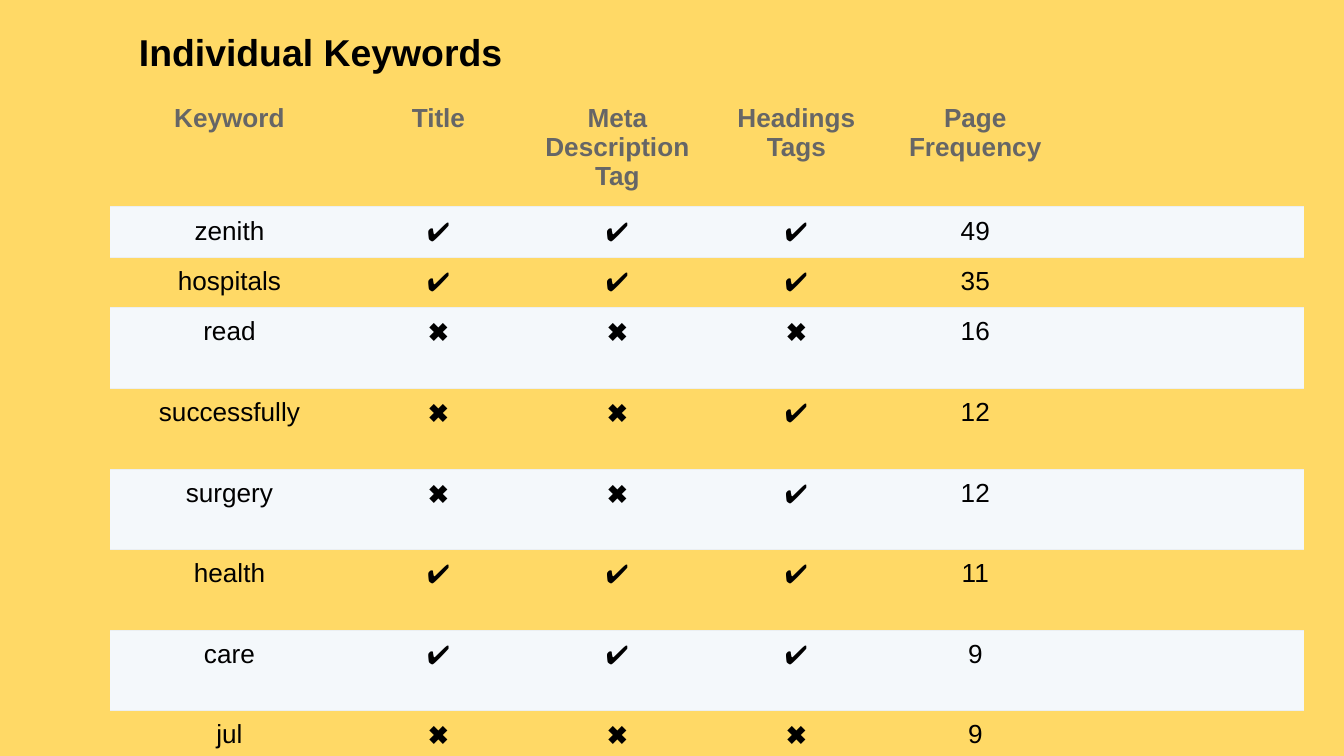
from dataclasses import dataclass

import lxml.etree
import pptx
import pptx.dml.color
import pptx.enum.text
import pptx.oxml.ns
import pptx.table
import pptx.text.text
import pptx.util

EMU_PER_PX = 9144000 / 1344
RGB = pptx.dml.color.RGBColor
YELLOW = RGB(0xFF, 0xD9, 0x66)
PALE = RGB(0xF4, 0xF8, 0xFB)
RULE = RGB(0xEB, 0xEF, 0xF2)
GREY = RGB(0x66, 0x66, 0x66)
BLACK = RGB(0x00, 0x00, 0x00)
NO_STYLE = "{2D5ABB26-0587-4C30-8999-92F81FD0307C}"

TITLE = {"name": "Arial", "size": pptx.util.Pt(20), "bold": True}
HEADER = {"name": "Arial", "size": pptx.util.Pt(14), "bold": True}
BODY = {"name": "Arial", "size": pptx.util.Pt(14), "bold": False}
MARK = {"name": "Calibri", "size": pptx.util.Pt(14), "bold": True}

COL_WIDTHS = [239, 179, 179, 179, 179, 239]
HEADER_HEIGHT = 111
HEADINGS = ["Keyword", "Title", "Meta Description Tag", "Headings Tags", "Page Frequency"]


@dataclass
class Keyword:
    word: str
    marks: str
    frequency: int
    height: int


KEYWORDS = [
    Keyword("zenith", "✔✔✔", 49, 49),
    Keyword("hospitals", "✔✔✔", 35, 49),
    Keyword("read", "✖✖✖", 16, 81),
    Keyword("successfully", "✖✖✔", 12, 81),
    Keyword("surgery", "✖✖✔", 12, 80),
    Keyword("health", "✔✔✔", 11, 81),
    Keyword("care", "✔✔✔", 9, 80),
    Keyword("jul", "✖✖✖", 9, 49),
]


def px(n: int) -> int:
    return pptx.util.Emu(round(n * EMU_PER_PX))


def add_text(p: pptx.text.text._Paragraph, text: str, fmt: dict, color: RGB) -> None:
    r = p.add_run()
    r.text = text
    for key, value in fmt.items():
        setattr(r.font, key, value)
    r.font.color.rgb = color


def add_border(cell: pptx.table._Cell, side: str) -> None:
    qn = pptx.oxml.ns.qn
    ln = lxml.etree.SubElement(cell._tc.get_or_add_tcPr(), qn(f"a:{side}"), w="7620")
    fill = lxml.etree.SubElement(ln, qn("a:solidFill"))
    lxml.etree.SubElement(fill, qn("a:srgbClr"), val=str(RULE))


def fill_cell(cell: pptx.table._Cell, text: str, fmt: dict, color: RGB) -> None:
    for side in ("left", "top", "right", "bottom"):
        setattr(cell, f"margin_{side}", pptx.util.Inches(0.07))
    p = cell.text_frame.paragraphs[0]
    p.alignment = pptx.enum.text.PP_ALIGN.CENTER
    if text:
        add_text(p, text, fmt, color)
    else:
        lxml.etree.SubElement(p._p, pptx.oxml.ns.qn("a:endParaRPr"), sz="1400")


def add_title(slide) -> None:
    sp = slide.shapes.add_textbox(px(139), px(12), px(367), px(164))
    tf = sp.text_frame
    tf.word_wrap = False
    tf.margin_left = tf.margin_right = tf.margin_bottom = 0
    tf.margin_top = px(17)
    add_text(tf.paragraphs[0], "Individual Keywords", TITLE, BLACK)


def add_keyword_table(slide) -> None:
    heights = [HEADER_HEIGHT] + [k.height for k in KEYWORDS]
    rows = [HEADINGS + [""]]
    rows += [[k.word, *k.marks, str(k.frequency), ""] for k in KEYWORDS]
    table = slide.shapes.add_table(
        len(rows), len(COL_WIDTHS), px(110), px(94), px(sum(COL_WIDTHS)), px(sum(heights))
    ).table
    table.first_row = table.horz_banding = False
    for style in table._tbl.iter(pptx.oxml.ns.qn("a:tableStyleId")):
        style.text = NO_STYLE
    for col, width in zip(table.columns, COL_WIDTHS):
        col.width = px(width)
    for i, (texts, height) in enumerate(zip(rows, heights)):
        table.rows[i].height = px(height)
        for j, text in enumerate(texts):
            cell = table.cell(i, j)
            fmt = HEADER if i == 0 else MARK if j in (1, 2, 3) else BODY
            fill_cell(cell, text, fmt, BLACK if i else GREY)
            if i > 0:
                add_border(cell, "lnT")
            if i < len(rows) - 1:
                add_border(cell, "lnB")
            if i % 2:
                cell.fill.solid()
                cell.fill.fore_color.rgb = PALE
            else:
                cell.fill.background()


def main() -> None:
    prs = pptx.Presentation()
    prs.slide_width, prs.slide_height = px(1344), px(756)
    s = prs.slides.add_slide(prs.slide_layouts[6])
    s.background.fill.solid()
    s.background.fill.fore_color.rgb = YELLOW
    add_title(s)
    add_keyword_table(s)
    prs.save("out.pptx")


if __name__ == "__main__":
    main()
